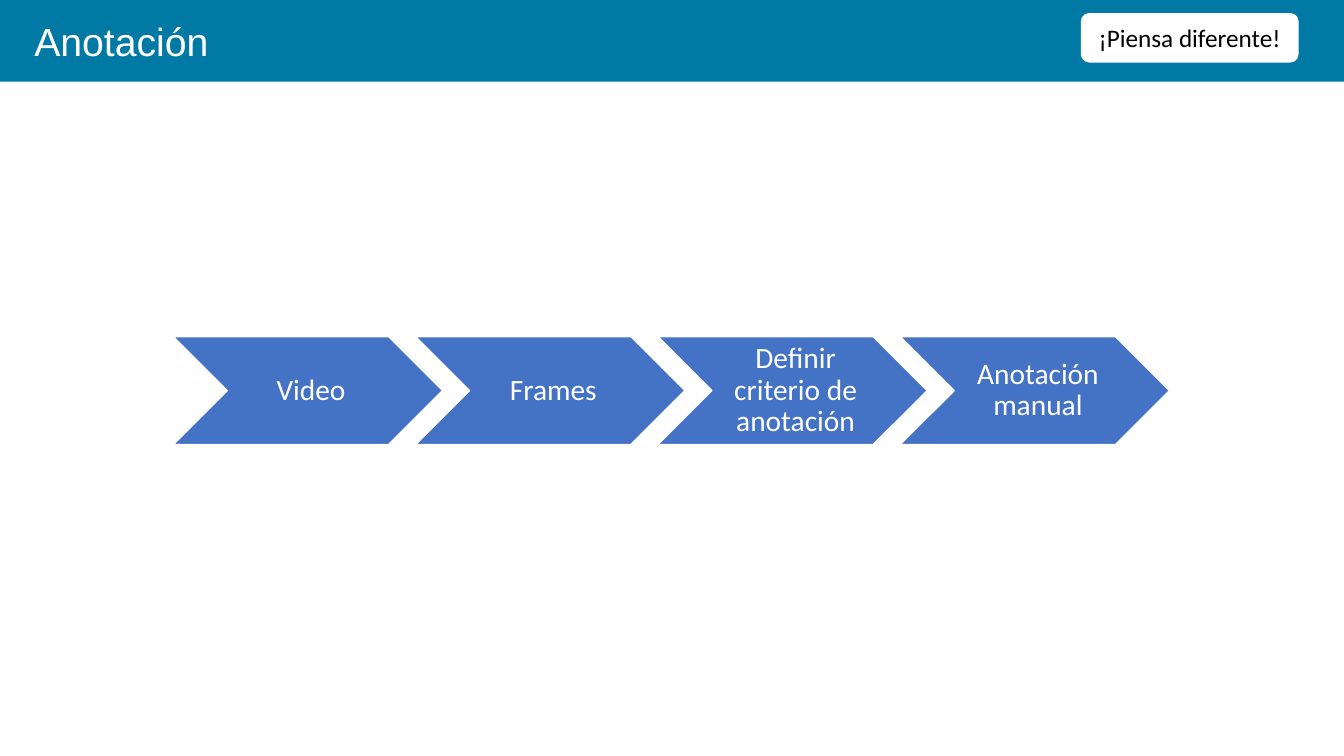
from pptx import Presentation
from pptx.dml.color import RGBColor as Rgb
from pptx.enum.shapes import MSO_SHAPE as Kind
from pptx.enum.text import MSO_ANCHOR as Anchor, MSO_AUTO_SIZE as Fit, PP_ALIGN as Align
from pptx.util import Inches, Pt

TITLE = "Anotación"
MOTTO = "¡Piensa diferente!"
STEPS = ["Video", "Frames", "Definir criterio de anotación", "Anotación manual"]

TEAL, BLUE, WHITE, BLACK = "0079A4", "4472C4", "FFFFFF", "000000"
LEFT, TOP, WIDE, HIGH = 1.72, 3.34, 2.67, 1.07
PITCH = WIDE * 0.9


def color(code):
    return Rgb.from_string(code)


def add_box(slide, kind, box, fill, line=None):
    shape = slide.shapes.add_shape(kind, *map(Inches, box))
    shape.shadow.inherit = False
    shape.fill.solid()
    shape.fill.fore_color.rgb = color(fill)
    if line:
        shape.line.color.rgb = color(line)
        shape.line.width = Pt(1)
    else:
        shape.line.fill.background()
    return shape


def put_text(shape, text, size, ink, font="Calibri", align=Align.CENTER,
             anchor=Anchor.MIDDLE, inset=(0.1, 0.05, 0.1, 0.05), space=1.0):
    frame = shape.text_frame
    frame.word_wrap = True
    frame.auto_size = Fit.NONE
    frame.vertical_anchor = anchor
    (frame.margin_left, frame.margin_top,
     frame.margin_right, frame.margin_bottom) = map(Inches, inset)
    para = frame.paragraphs[0]
    para.alignment = align
    para.line_spacing = space
    run = para.add_run()
    run.text = text
    run.font.size = Pt(size)
    run.font.name = font
    run.font.color.rgb = color(ink)


def main():
    deck = Presentation()
    deck.slide_width, deck.slide_height = Inches(13.33), Inches(7.5)
    slide = deck.slides.add_slide(deck.slide_layouts[5])

    band = add_box(slide, Kind.RECTANGLE, (0, 0, 13.33, 0.81), TEAL)
    title = slide.shapes.title
    title.left, title.top, title.width, title.height = map(Inches, (0.24, 0.12, 3.09, 0.57))
    put_text(title, TITLE, 28, WHITE, font="Arial", align=Align.LEFT, anchor=Anchor.TOP)
    title._element.addprevious(band._element)

    badge = add_box(slide, Kind.ROUNDED_RECTANGLE, (10.72, 0.13, 2.16, 0.49), WHITE)
    put_text(badge, MOTTO, 18, BLACK)

    for i, step in enumerate(STEPS):
        arrow = add_box(slide, Kind.CHEVRON, (LEFT + i * PITCH, TOP, WIDE, HIGH), BLUE, WHITE)
        put_text(arrow, step, 21, WHITE, inset=(0.09, 0.03, 0.03, 0.03), space=0.9)

    deck.save("out.pptx")


if __name__ == "__main__":
    main()
